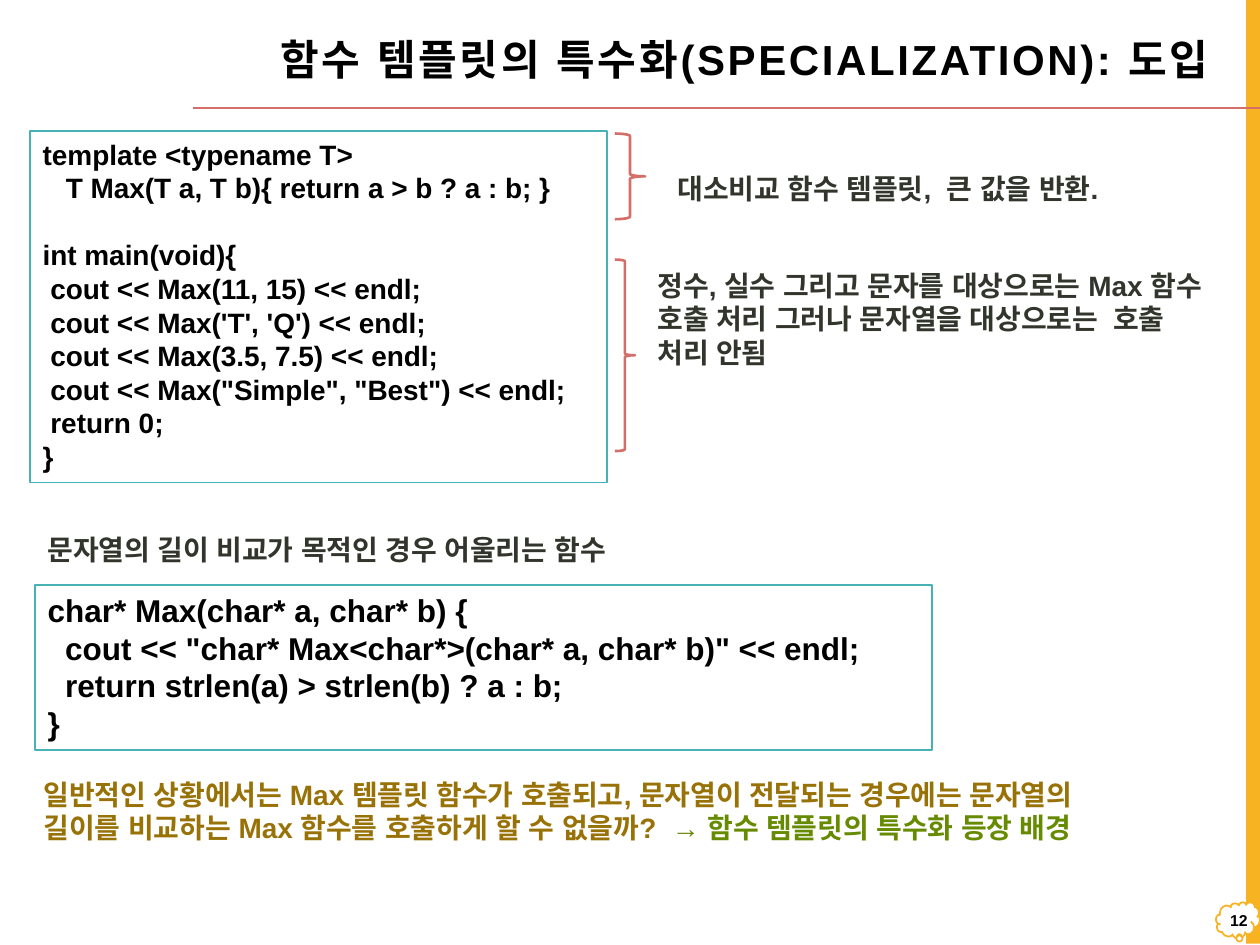
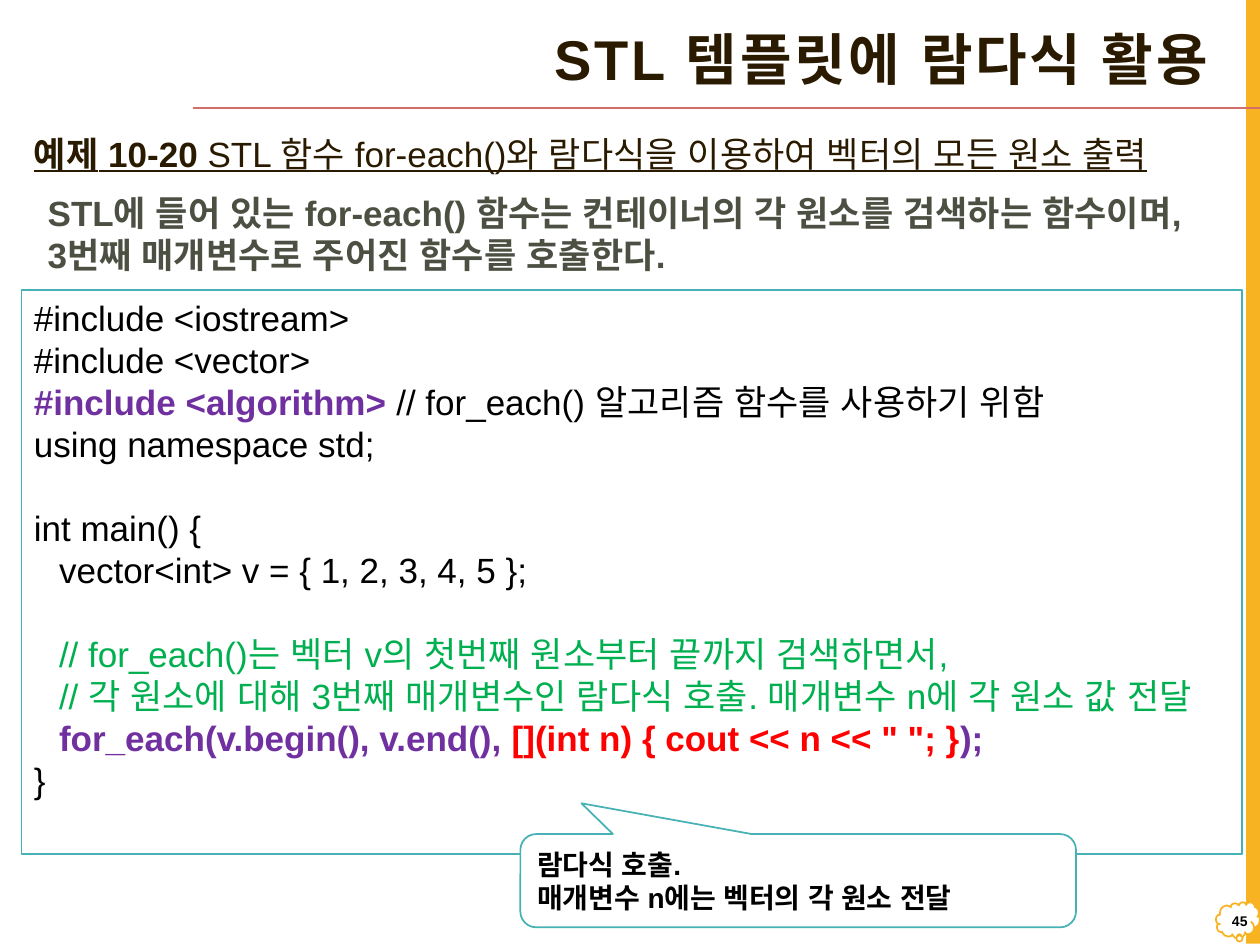
from lxml.etree import SubElement
from pptx import Presentation
from pptx.dml.color import RGBColor
from pptx.enum.lang import MSO_LANGUAGE_ID
from pptx.enum.shapes import MSO_CONNECTOR, MSO_SHAPE
from pptx.enum.text import MSO_ANCHOR, MSO_AUTO_SIZE, PP_ALIGN
from pptx.oxml.ns import qn
from pptx.util import Inches, Pt

FONT = "Arial"
COLORS = {
    "black": "000000",
    "white": "FFFFFF",
    "gold": "F8B323",
    "rose": "D36F68",
    "teal": "46B2B5",
    "brown": "2A1A00",
    "slate": "32352C",
    "gray": "4C5043",
    "ochre": "987206",
    "olive": "668A00",
    "purple": "7030A0",
    "green": "00B050",
    "red": "FF0000",
}


def rgb(name):
    return RGBColor.from_string(COLORS[name])


def style(run, size, color="black", bold=False, line=None, track=None):
    font = run.font
    font.name = FONT
    font.size = Pt(size)
    font.bold = bold
    font.underline = line
    font.color.rgb = rgb(color)
    font.language_id = MSO_LANGUAGE_ID.KOREAN
    props = run._r.get_or_add_rPr()
    SubElement(props, qn("a:ea")).set("typeface", FONT)
    if track:
        props.set("spc", str(round(track * 100)))


def write(shape, lines, size=16, align=PP_ALIGN.LEFT, anchor=MSO_ANCHOR.TOP,
          space=None, tab=None, **look):
    frame = shape.text_frame
    frame.word_wrap = True
    frame.auto_size = MSO_AUTO_SIZE.NONE
    frame.vertical_anchor = anchor
    para, gap = None, 0
    for line in lines:
        if not line:
            gap += size * 1.2
            continue
        para = frame.add_paragraph() if para else frame.paragraphs[0]
        para.alignment = align
        if space:
            para.line_spacing = space
        para.space_before = Pt(gap)
        gap = 0
        if tab:
            stops = SubElement(para._p.get_or_add_pPr(), qn("a:tabLst"))
            SubElement(stops, qn("a:tab"), pos=str(Inches(tab)), algn="l")
        for text, extra in [(line, {})] if isinstance(line, str) else line:
            run = para.add_run()
            run.text = text
            style(run, size, **{**look, **extra})


def shape(slide, kind, place, fill=None, edge=None, width=1, adjust=()):
    item = slide.shapes.add_shape(kind, *map(Inches, place))
    item.shadow.inherit = False
    if fill:
        item.fill.solid()
        item.fill.fore_color.rgb = rgb(fill)
    else:
        item.fill.background()
    if edge:
        item.line.color.rgb = rgb(edge)
        item.line.width = Pt(width)
    else:
        item.line.fill.background()
    for index, value in enumerate(adjust):
        item.adjustments[index] = value
    return item


def label(slide, place, lines, **look):
    write(slide.shapes.add_textbox(*map(Inches, place)), lines, **look)


def panel(slide, place, lines, **look):
    write(shape(slide, MSO_SHAPE.RECTANGLE, place, "white", "teal"), lines, **look)


def brace(slide, place):
    shape(slide, MSO_SHAPE.RIGHT_BRACE, place, edge="rose", width=1.5)


def rule(slide, start, end):
    line = slide.shapes.add_connector(MSO_CONNECTOR.STRAIGHT, *map(Inches, start + end))
    line.line.color.rgb = rgb("rose")
    line.line.width = Pt(1)
    SubElement(line._element.spPr, qn("a:effectLst"))


def page(deck, title, number, size, color, note):
    slide = deck.slides.add_slide(deck.slide_layouts[5])
    shape(slide, MSO_SHAPE.RECTANGLE, (9.89, -0.01, 0.11, 7.5), "gold")
    shape(slide, MSO_SHAPE.CLOUD_CALLOUT, (9.65, 7.16, 0.35, 0.29),
          "white", "gold", adjust=(0.03, 0.43))
    rule(slide, (10, 0.86), (1.53, 0.86))
    head = slide.shapes.title
    head.left, head.top, head.width, head.height = map(Inches, (1.32, 0.13, 8.37, 0.73))
    write(head, [title], size=size, color=color, bold=True, track=1.5,
          align=PP_ALIGN.RIGHT, anchor=MSO_ANCHOR.MIDDLE, space=0.9)
    label(slide, (9.48, 7.13, 0.52, 0.35), [number], size=note, bold=True,
          align=PP_ALIGN.RIGHT, anchor=MSO_ANCHOR.MIDDLE)
    return slide


def intro(deck):
    slide = page(deck, "함수 템플릿의 특수화(SPECIALIZATION): 도입", "12", 24, "black", 9)
    label(slide, (5.28, 1.18, 4.07, 0.5), ["대소비교 함수 템플릿,  큰 값을 반환."],
          color="slate", bold=True, space=1.5)
    label(slide, (5.12, 2.08, 4.61, 0.91),
          ["정수, 실수 그리고 문자를 대상으로는 Max 함수 호출 처리 "
           "그러나 문자열을 대상으로는  호출 처리 안됨"], color="slate", bold=True)
    label(slide, (0.28, 4.18, 6.69, 0.37),
          ["문자열의 길이 비교가 목적인 경우 어울리는 함수"], color="slate", bold=True)
    label(slide, (0.25, 6.12, 8.9, 0.91), [[
        ("일반적인 상황에서는 Max 템플릿 함수가 호출되고, 문자열이 전달되는 경우에는 "
         "문자열의 길이를 비교하는 Max 함수를 호출하게 할 수 없을까?  ", {}),
        ("→ 함수 템플릿의 특수화 등장 배경", {"color": "olive"}),
    ]], color="ochre", bold=True)
    panel(slide, (0.24, 1.04, 4.58, 2.79), [
        "template <typename T>",
        "   T Max(T a, T b){ return a > b ? a : b; }",
        "",
        "int main(void){",
        " cout << Max(11, 15) << endl;",
        " cout << Max('T', 'Q') << endl;",
        " cout << Max(3.5, 7.5) << endl;",
        ' cout << Max("Simple", "Best") << endl;',
        " return 0;",
        "}",
    ], bold=True)
    panel(slide, (0.28, 4.64, 7.12, 1.31), [
        "char* Max(char* a, char* b) {",
        '  cout << "char* Max<char*>(char* a, char* b)" << endl;',
        "  return strlen(a) > strlen(b) ? a : b;",
        "}",
    ], size=18, bold=True)
    brace(slide, (4.88, 1.06, 0.24, 0.68))
    brace(slide, (4.88, 2.06, 0.16, 1.52))


def lambdas(deck):
    slide = page(deck, "STL 템플릿에 람다식 활용", "45", 32, "brown", 8)
    key = {"color": "purple", "bold": True}
    green = {"color": "green"}
    label(slide, (0.28, 1.47, 9.38, 0.77),
          ["STL에 들어 있는 for-each() 함수는 컨테이너의 각 원소를 검색하는 함수이며, "
           "3번째 매개변수로 주어진 함수를 호출한다."], size=20, color="gray", bold=True)
    panel(slide, (0.17, 2.3, 9.69, 4.48), [
        "#include <iostream>",
        "#include <vector>",
        [("#include <algorithm> ", key), ("// for_each() 알고리즘 함수를 사용하기 위함", {})],
        "using namespace std;",
        "",
        "int main() {",
        "\tvector<int> v = { 1, 2, 3, 4, 5 };",
        "",
        [("\t// for_each()는 벡터 v의 첫번째 원소부터 끝까지 검색하면서,", green)],
        [("\t// 각 원소에 대해 3번째 매개변수인 람다식 호출. "
          "매개변수 n에 각 원소 값 전달", green)],
        [("\tfor_each(v.begin(), v.end(), ", key),
         ('[](int n) { cout << n << " "; }', {"color": "red", "bold": True}),
         (");", key)],
        "}",
    ], size=20, tab=0.2)
    bubble = shape(slide, MSO_SHAPE.ROUNDED_RECTANGULAR_CALLOUT, (4.13, 6.62, 4.41, 0.74),
                   "white", "teal", adjust=(-0.39, -0.83, 0.17))
    write(bubble, ["람다식 호출. ", "매개변수 n에는 벡터의 각 원소 전달"],
          bold=True, align=PP_ALIGN.JUSTIFY, anchor=MSO_ANCHOR.MIDDLE)
    label(slide, (0.17, 0.97, 9.69, 0.49), [[
        ("예제", {"bold": True}), (" ", {}), ("10-20", {"bold": True}),
        (" STL 함수 for-each()와 람다식을 이용하여 벡터의 모든 원소 출력", {}),
    ]], size=20, color="brown", line=True, anchor=MSO_ANCHOR.MIDDLE)


def main():
    deck = Presentation()
    deck.slide_width, deck.slide_height = Inches(10), Inches(7.5)
    intro(deck)
    lambdas(deck)
    deck.save("out.pptx")


if __name__ == "__main__":
    main()
